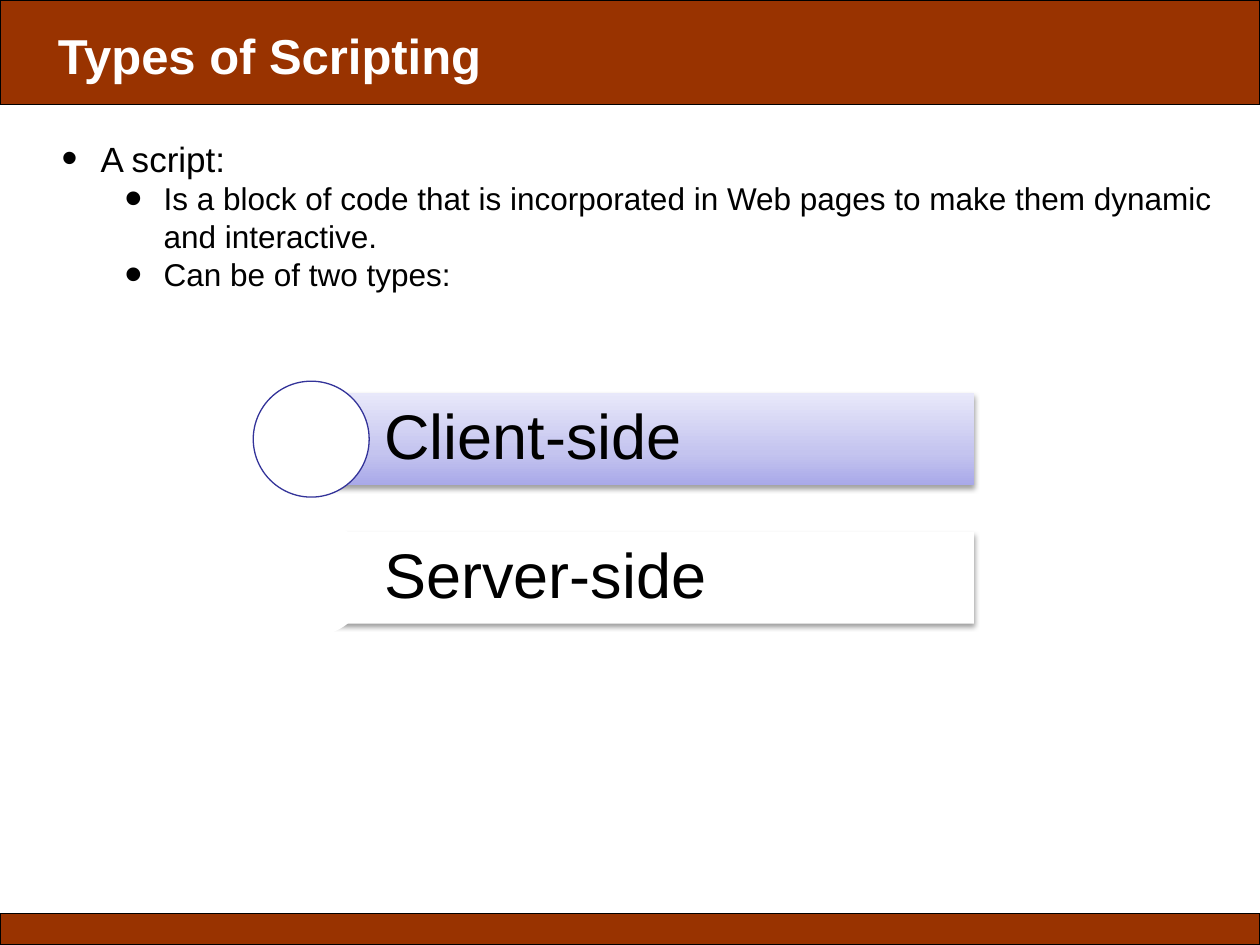
from lxml import etree
from pptx import Presentation
from pptx.dml.color import RGBColor
from pptx.enum import shapes, text
from pptx.oxml import parse_xml
from pptx.oxml.ns import nsdecls, qn
from pptx.util import Inches, Pt

INK = {
    "rust": "993300", "black": "000000", "white": "FFFFFF", "navy": "333399",
    "deep": "A9A9E9", "mid": "C4C4EF", "pale": "E8E8FA",
}
FONT = "Arial"
KIND = shapes.MSO_SHAPE


def tint(name):
    return RGBColor.from_string(INK[name])


def add_shape(slide, kind, box, fill=None, line=None, width=0.75):
    shape = slide.shapes.add_shape(kind, *map(Inches, box))
    shape.shadow.inherit = False
    if fill:
        shape.fill.solid()
        shape.fill.fore_color.rgb = tint(fill)
    else:
        shape.fill.background()
    if line:
        shape.line.color.rgb = tint(line)
        shape.line.width = Pt(width)
    else:
        shape.line.fill.background()
    return shape


def set_font(par, size, color="black", bold=False):
    font = par.font
    font.name, font.size, font.bold = FONT, Pt(size), bold
    font.color.rgb = tint(color)


def add_box(slide, box):
    frame = slide.shapes.add_textbox(*map(Inches, box)).text_frame
    frame.word_wrap = True
    return frame


def add_bullet(par, words, size, left, scale):
    par.text = words
    props = par._p.get_or_add_pPr()
    props.set("marL", str(Inches(left)))
    props.set("indent", str(Inches(-0.31)))
    etree.SubElement(props, qn("a:buSzPct"), val=str(scale * 1000))
    etree.SubElement(props, qn("a:buFont"), typeface=FONT)
    etree.SubElement(props, qn("a:buChar"), char="•")
    set_font(par, size)


def add_shade(shape):
    """Soft shadow straight below the shape."""
    effects = shape._element.spPr.find(qn("a:effectLst"))
    effects.append(parse_xml(
        f'<a:outerShdw {nsdecls("a")} blurRad="{Pt(3.1)}" dist="{Pt(1.6)}" '
        f'dir="5400000" rotWithShape="0"><a:srgbClr val="{INK["black"]}">'
        '<a:alpha val="38000"/></a:srgbClr></a:outerShdw>'))


def add_fade(shape):
    """Three-stop gradient from the bottom edge up."""
    stops = "".join(
        f'<a:gs pos="{pos * 1000}"><a:srgbClr val="{INK[name]}"/></a:gs>'
        for pos, name in ((0, "deep"), (35, "mid"), (100, "pale")))
    props = shape._element.spPr
    solid = props.find(qn("a:solidFill"))
    props.replace(solid, parse_xml(
        f'<a:gradFill {nsdecls("a")} rotWithShape="1"><a:gsLst>{stops}</a:gsLst>'
        '<a:lin ang="16200000" scaled="0"/></a:gradFill>'))


def add_item(slide, top, words, ring, fade=False):
    """Labelled bar with a circle centred on its left edge."""
    left, high, disc = 2.47, 0.73, 0.92
    bar = add_shape(slide, KIND.RECTANGLE, (left, top, 5.26, high), "white")
    add_shade(bar)
    if fade:
        add_fade(bar)
    frame = bar.text_frame
    frame.word_wrap = True
    frame.vertical_anchor = text.MSO_ANCHOR.MIDDLE
    frame.margin_left = Inches(0.58)
    frame.margin_top = frame.margin_right = frame.margin_bottom = Inches(0.1)
    par = frame.paragraphs[0]
    par.text = words
    par.alignment = text.PP_ALIGN.LEFT
    par.line_spacing = 0.9
    set_font(par, 36)
    add_shape(slide, KIND.OVAL,
              (left - disc / 2, top + (high - disc) / 2, disc, disc), "white", ring)


def main():
    deck = Presentation()
    deck.slide_width, deck.slide_height = Inches(10), Inches(7.5)
    slide = deck.slides.add_slide(deck.slide_layouts[6])

    # Footer and header bands
    for top, high in ((7.25, 0.25), (0, 0.83)):
        add_shape(slide, KIND.RECTANGLE, (0, top, 10, high), "rust", "black")

    # Bullets
    frame = add_box(slide, (0.39, 1.04, 9.42, 1.95))
    rows = (
        ("A script:", 20, 0.31, 130),
        ("Is a block of code that is incorporated in Web pages to make them dynamic"
         "\vand interactive.", 18, 0.81, 160),
        ("Can be of two types:", 18, 0.81, 160),
    )
    for num, row in enumerate(rows):
        par = frame.add_paragraph() if num else frame.paragraphs[0]
        add_bullet(par, *row)

    # Title
    frame = add_box(slide, (0.25, 0.15, 7.33, 0.57))
    frame.margin_left = Inches(0.21)
    par = frame.paragraphs[0]
    par.text = "Types of Scripting"
    set_font(par, 28, "white", True)

    # Two script types along an arc
    arc = add_shape(slide, KIND.BLOCK_ARC, (-0.89, 2.3, 3.47, 3.47),
                    line="white", width=2)
    for num, value in enumerate((189, 27, 0.01)):
        arc.adjustments[num] = value
    add_item(slide, 3.12, "Client-side", "navy", fade=True)
    add_item(slide, 4.22, "Server-side", "white")

    deck.save("out.pptx")


if __name__ == "__main__":
    main()
